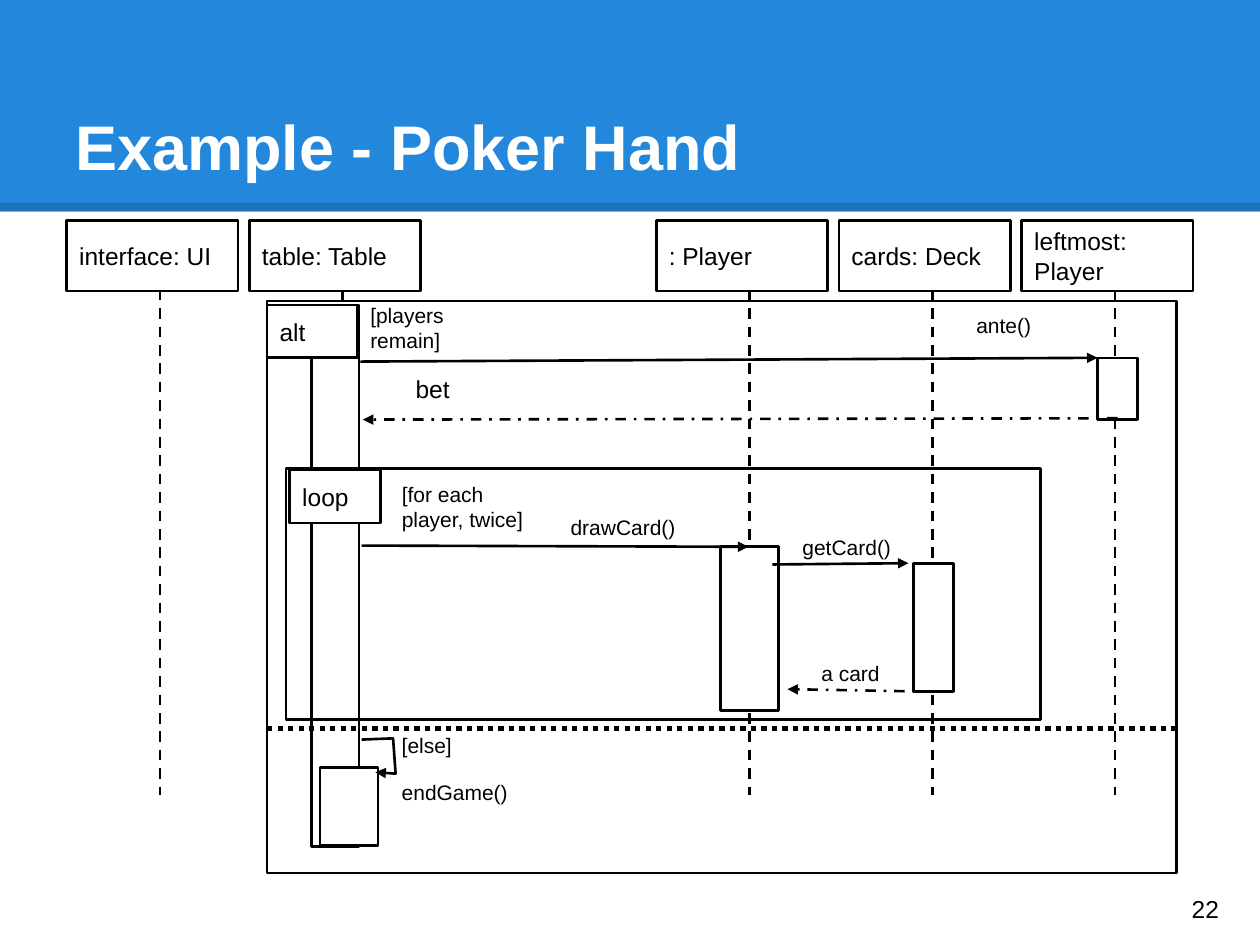
from dataclasses import dataclass

from lxml import etree
from pptx import Presentation
from pptx.dml.color import RGBColor
from pptx.enum.dml import MSO_LINE
from pptx.enum.shapes import MSO_CONNECTOR, MSO_SHAPE
from pptx.enum.text import MSO_ANCHOR, PP_ALIGN
from pptx.oxml.ns import qn
from pptx.util import Inches, Pt

RECTANGLE = MSO_SHAPE.RECTANGLE
STRAIGHT = MSO_CONNECTOR.STRAIGHT
TOP, MIDDLE, BOTTOM = MSO_ANCHOR.TOP, MSO_ANCHOR.MIDDLE, MSO_ANCHOR.BOTTOM
LEFT = PP_ALIGN.LEFT
DASH, DASH_DOT, DOT = MSO_LINE.DASH, MSO_LINE.DASH_DOT, MSO_LINE.ROUND_DOT


@dataclass(frozen=True)
class Theme:
    font: str = "Arial"
    band: RGBColor = RGBColor(0x23, 0x88, 0xDB)
    ink: RGBColor = RGBColor(0, 0, 0)
    paper: RGBColor = RGBColor(255, 255, 255)
    title: int = 36
    body: int = 14
    note: int = 12
    stroke: float = 1.5
    divider: float = 3
    band_edge: float = 4.5


theme = Theme()
deck = Presentation()
deck.slide_width, deck.slide_height = Inches(10), Inches(7.5)
COL, ROW = deck.slide_width // 100, deck.slide_height // 75
slide = deck.slides.add_slide(deck.slide_layouts[6])
shapes = slide.shapes


def write(holder, text, size, anchor=TOP, color=theme.ink, bold=False):
    frame = holder.text_frame
    frame.text = text
    frame.word_wrap = True
    frame.vertical_anchor = anchor
    frame.margin_left = frame.margin_right = COL
    frame.margin_top = frame.margin_bottom = ROW
    paragraph = frame.paragraphs[0]
    paragraph.alignment = LEFT
    font = paragraph.runs[0].font
    font.name, font.size, font.bold = theme.font, Pt(size), bold
    font.color.rgb = color


def stroke(mark, width=theme.stroke, dash=None, arrow=False):
    mark.line.color.rgb = theme.ink
    mark.line.width = Pt(width)
    if dash:
        mark.line.dash_style = dash
    properties = mark._element.spPr
    if arrow:
        etree.SubElement(properties.find(qn("a:ln")), qn("a:tailEnd"), type="triangle")
    etree.SubElement(properties, qn("a:effectLst"))


band = shapes.add_shape(RECTANGLE, 0, 0, deck.slide_width, int(16.8 * ROW))
band.shadow.inherit = False
band.fill.solid()
band.fill.fore_color.rgb = theme.band
band.line.fill.background()

band_edge = shapes.add_connector(STRAIGHT, 0, int(16.4 * ROW), deck.slide_width, int(16.4 * ROW))
stroke(band_edge, theme.band_edge)
edge_color = band_edge._element.spPr.find(".//" + qn("a:srgbClr"))
etree.SubElement(edge_color, qn("a:alpha"), val="15000")

title = shapes.add_textbox(int(5 * COL), int(3 * ROW), int(90 * COL), int(12.5 * ROW))
write(title, "Example - Poker Hand", theme.title, BOTTOM, theme.paper, True)

pitch = 14.5
first, player = 5.3, 52.1
participants = [
    (first, "interface: UI"),
    (first + pitch, "table: Table"),
    (player, ": Player"),
    (player + pitch, "cards: Deck"),
    (player + 2 * pitch, "leftmost: Player"),
]
for left, _ in participants:
    lifeline = (left + 7.4) * COL
    stroke(shapes.add_connector(STRAIGHT, int(lifeline), int(23 * ROW),
                                int(lifeline), int(63.1 * ROW)), dash=DASH)

heads = [(left, 17.5, 13.6, 5.6, name, True) for left, name in participants]
activations = [
    (87.1, 28.4, 3.2, 4.9, "", True),
    (57.2, 43.4, 4.6, 13, "", True),
    (72.5, 44.7, 3.2, 10.2, "", True),
    (25.4, 60.9, 4.6, 6.2, "", True),
]
fragments = [
    (21.2, 23.9, 72.2, 45.4, "", False),
    (21.2, 24.2, 7.2, 4.2, "alt", True),
    (22.7, 37.2, 59.9, 19.9, "", False),
    (23, 37.3, 7.2, 4.2, "loop", True),
]
table_activation = (24.7, 24.2, 3.8, 43, "", True)
for left, top, width, height, text, filled in [*heads, table_activation, *fragments, *activations]:
    block = shapes.add_shape(RECTANGLE, int(left * COL), int(top * ROW),
                             int(width * COL), int(height * ROW))
    if filled:
        block.fill.solid()
        block.fill.fore_color.rgb = theme.paper
    else:
        block.fill.background()
    stroke(block)
    if text:
        write(block, text, theme.body, MIDDLE)

messages = [
    (28.6, 28.7, 87.1, 28.4, None),
    (88.7, 33.2, 28.8, 33.3, DASH_DOT),
    (28.7, 43.3, 59.4, 43.4, None),
    (61.3, 44.8, 72.1, 44.7, None),
    (74.1, 54.9, 62.5, 54.7, DASH_DOT),
]
for start_x, start_y, end_x, end_y, dash in messages:
    message = shapes.add_connector(STRAIGHT, int(start_x * COL), int(start_y * ROW),
                                   int(end_x * COL), int(end_y * ROW))
    stroke(message, dash=dash, arrow=True)

divider = shapes.add_connector(STRAIGHT, int(21.2 * COL), int(57.8 * ROW),
                               int(93.5 * COL), int(57.8 * ROW))
stroke(divider, theme.divider, DOT)

self_call_path = [(int(x * COL), int(y * ROW))
                  for x, y in [(28.7, 58.7), (31.2, 58.6), (31.4, 61.4), (29.8, 61.3)]]
builder = shapes.build_freeform(*self_call_path[0])
builder.add_line_segments(self_call_path[1:], close=False)
self_call = builder.convert_to_shape()
self_call.fill.background()
stroke(self_call, arrow=True)

labels = [
    (28.4, 23, 11.9, 3, "[players remain]", theme.note, TOP),
    (76.5, 24.2, 9.5, 1.6, "ante()", theme.note, TOP),
    (32, 29.1, 7.2, 1.6, "bet", theme.body, TOP),
    (30.9, 37.2, 11.9, 3, "[for each player, twice]", theme.note, TOP),
    (44.3, 40.2, 12.5, 1.6, "drawCard()", theme.note, TOP),
    (62.7, 41.8, 9.8, 1.6, "getCard()", theme.note, TOP),
    (64.2, 51.8, 7.2, 1.6, "a card", theme.note, TOP),
    (30.9, 57.1, 10.4, 2.5, "[else]", theme.note, TOP),
    (30.9, 60.9, 10.4, 2.5, "endGame()", theme.note, TOP),
    (93.6, 69.3, 6, 5.7, "22", theme.body, MIDDLE),
]
for left, top, width, height, text, size, anchor in labels:
    label = shapes.add_textbox(int(left * COL), int(top * ROW), int(width * COL), int(height * ROW))
    write(label, text, size, anchor)

deck.save("out.pptx")
